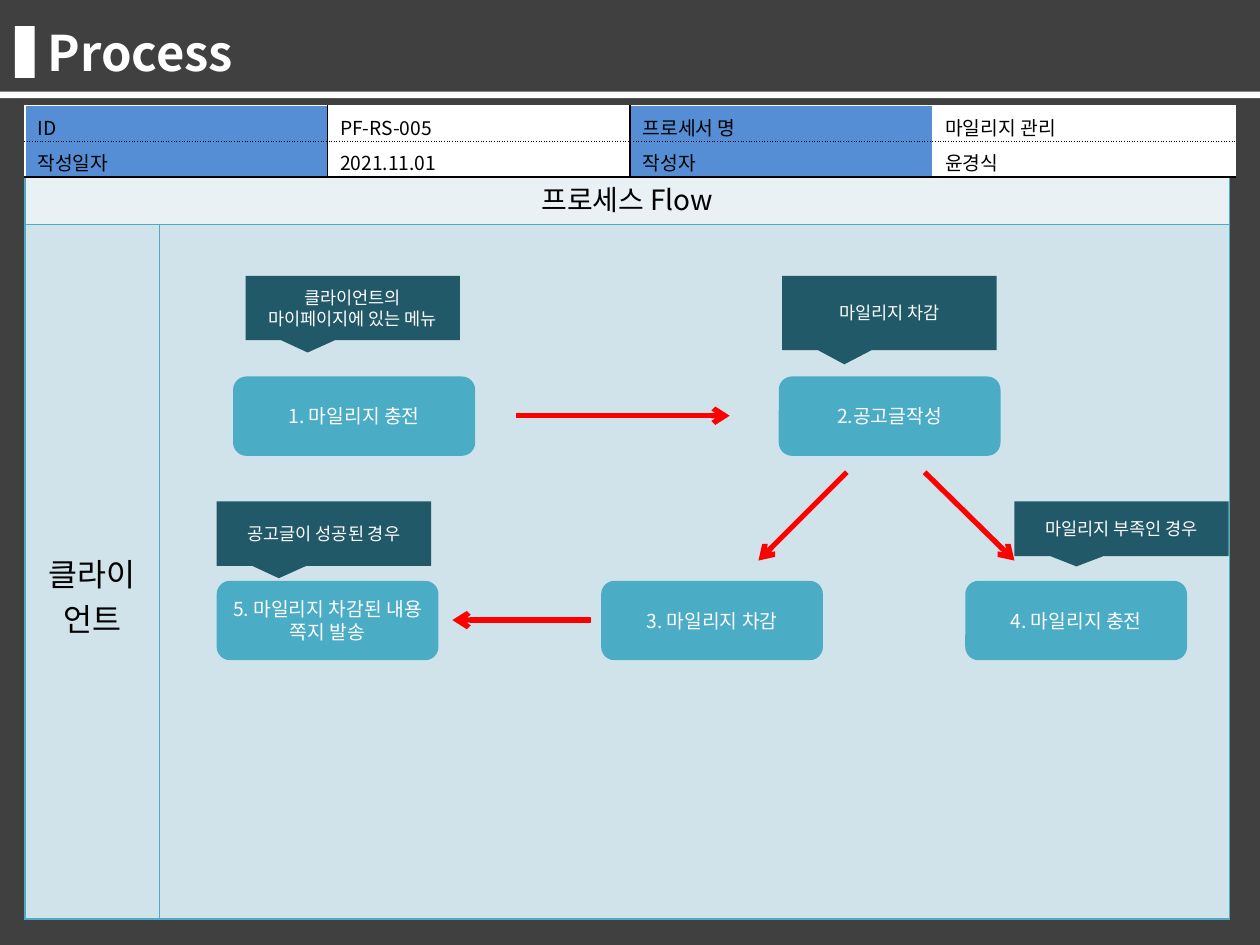
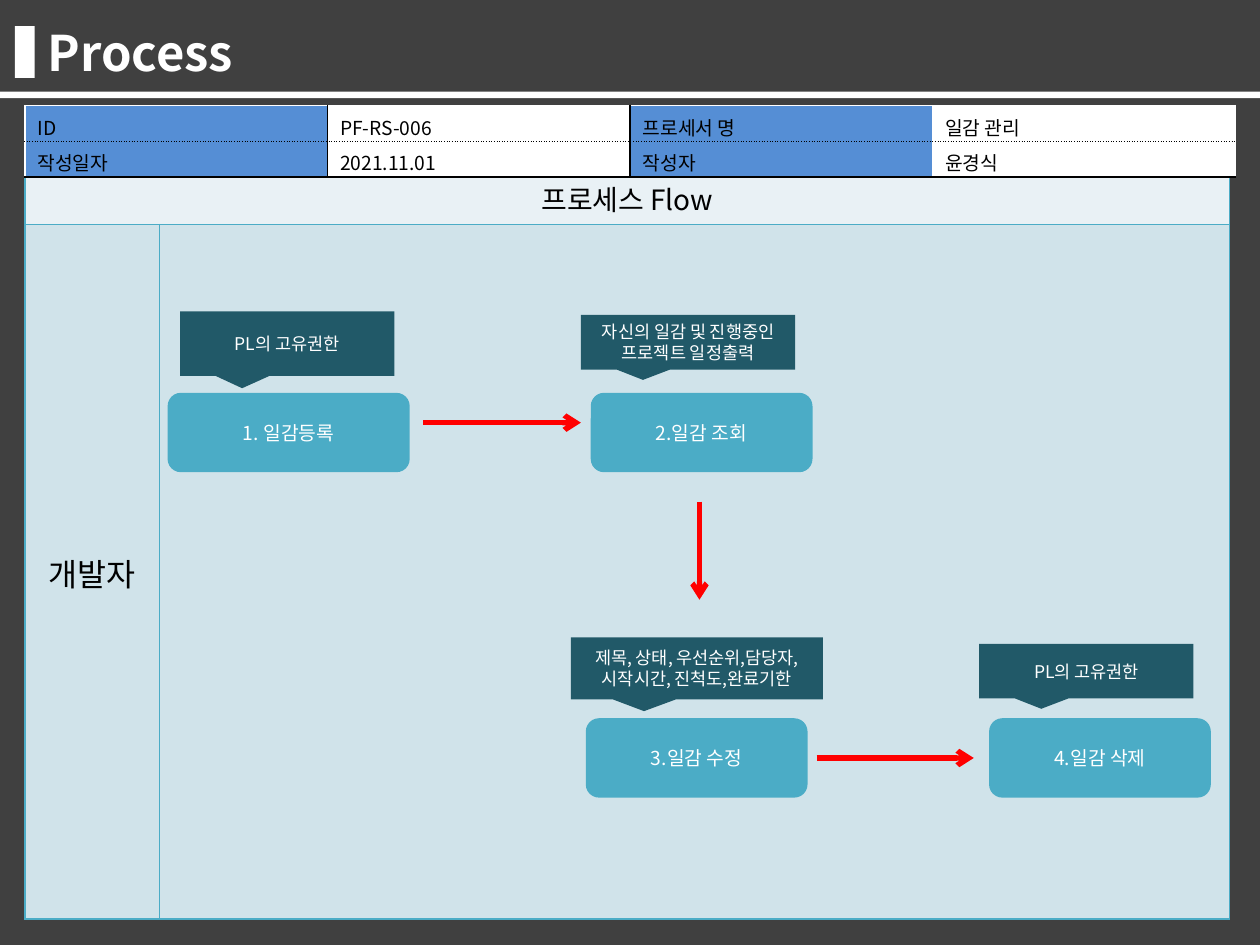
from lxml import etree
from pptx import Presentation
from pptx import util as u
from pptx.dml.color import RGBColor
from pptx.enum import shapes, text
from pptx.oxml import ns

FONT = "Noto Sans CJK KR"
COLORS = {
    "background": "404040", "white": "FFFFFF", "black": "000000",
    "label": "558ED5", "flow_header": "E9F1F5", "flow_body": "D0E3EA",
    "step": "4BACC6", "callout": "215968", "arrow": "FF0000",
}
STEP_WIDTH, STEP_HEIGHT = 4.47, 1.6
CALLOUT_WIDTH = 4.32
TITLE_ONLY_LAYOUT = 5

# Steps: text, left, top[, width]; callouts: text, left, top, height[, width]
# Arrows: start x, start y, end x, end y (all in centimetres)
PROCESSES = [
    {
        "id": "PF-RS-005", "name": "마일리지 관리", "actor": "클라이언트",
        "steps": [
            ("1. 마일리지 충전", 4.7, 7.59, 4.88),
            ("2.공고글작성", 15.7, 7.59),
            ("3. 마일리지 차감", 12.12, 11.71),
            ("4. 마일리지 충전", 19.46, 11.71),
            ("5. 마일리지 차감된 내용 쪽지 발송", 4.37, 11.71),
        ],
        "callouts": [
            ("클라이언트의\n마이페이지에 있는 메뉴", 4.95, 5.56, 1.3),
            ("마일리지 차감", 15.77, 5.56, 1.5),
            ("마일리지 부족인 경우", 20.45, 10.11, 1.1),
            ("공고글이 성공된 경우", 4.37, 10.11, 1.3),
        ],
        "arrows": [
            (10.41, 8.38, 14.71, 8.38),
            (18.64, 9.52, 20.45, 11.3),
            (17.07, 9.52, 15.29, 11.3),
            (11.91, 12.5, 9.12, 12.5),
        ],
    },
    {
        "id": "PF-RS-006", "name": "일감 관리", "actor": "개발자",
        "steps": [
            ("1. 일감등록", 3.38, 7.92, 4.88),
            ("2.일감 조회", 11.91, 7.92),
            ("3.일감 수정", 11.81, 14.48),
            ("4.일감 삭제", 19.94, 14.48),
        ],
        "callouts": [
            ("PL의 고유권한", 3.63, 6.28, 1.3),
            ("자신의 일감 및 진행중인 프로젝트 일정출력", 11.71, 6.35, 1.1),
            ("제목, 상태, 우선순위,담당자, 시작시간, 진척도,완료기한",
             11.51, 12.85, 1.25, 5.08),
            ("PL의 고유권한", 19.74, 12.98, 1.1),
        ],
        "arrows": [
            (8.53, 8.52, 11.71, 8.52),
            (14.1, 10.11, 14.1, 12.09),
            (16.46, 15.28, 19.63, 15.28),
        ],
    },
]


def color(name):
    return RGBColor.from_string(COLORS[name])


class ProcessDeck:
    """Holds the shared style and the current slide."""

    def __init__(self):
        self.presentation = Presentation()
        self.presentation.slide_width = u.Cm(25.4)
        self.presentation.slide_height = u.Cm(19.05)
        self.slide = None

    # Text and shapes
    def format_text(self, text_frame, size, color_name, alignment, bold=False):
        for paragraph in text_frame.paragraphs:
            paragraph.alignment = alignment
            for run in paragraph.runs:
                run.font.size = u.Pt(size)
                run.font.bold = bold
                run.font.name = FONT
                run.font.color.rgb = color(color_name)
                east_asian = etree.SubElement(run.font._element, ns.qn("a:ea"))
                east_asian.set("typeface", FONT)

    def add_shape(self, kind, left, top, width, height, fill):
        shape = self.slide.shapes.add_shape(
            kind, u.Cm(left), u.Cm(top), u.Cm(width), u.Cm(height))
        shape.shadow.inherit = False
        shape.fill.solid()
        shape.fill.fore_color.rgb = color(fill)
        shape.line.fill.background()
        return shape

    def add_label(self, shape, label, size):
        text_frame = shape.text_frame
        text_frame.text = label
        text_frame.word_wrap = True
        text_frame.vertical_anchor = text.MSO_ANCHOR.MIDDLE
        self.format_text(text_frame, size, "white", text.PP_ALIGN.CENTER)

    # Slide frame
    def add_slide(self, heading):
        layout = self.presentation.slide_layouts[TITLE_ONLY_LAYOUT]
        self.slide = self.presentation.slides.add_slide(layout)
        background = self.slide.background.fill
        background.solid()
        background.fore_color.rgb = color("background")

        title = self.slide.shapes.title
        title.left, title.top = u.Cm(0.71), u.Cm(0.33)
        title.width, title.height = u.Cm(22.8), u.Cm(1.45)
        title.text_frame.text = heading
        title.text_frame.auto_size = text.MSO_AUTO_SIZE.NONE
        title.text_frame.vertical_anchor = text.MSO_ANCHOR.MIDDLE
        self.format_text(title.text_frame, 28, "white", text.PP_ALIGN.LEFT, True)

        rectangle = shapes.MSO_SHAPE.RECTANGLE
        self.add_shape(rectangle, 0.3, 0.53, 0.4, 1.04, "white")
        self.add_shape(rectangle, 0, 1.85, 25.4, 0.13, "white")

    # Tables
    def add_table(self, left, top, widths, heights):
        table = self.slide.shapes.add_table(
            len(heights), len(widths), u.Cm(left), u.Cm(top),
            u.Cm(sum(widths)), u.Cm(sum(heights))).table
        table.first_row = table.horz_banding = False
        for column, width in zip(table.columns, widths):
            column.width = u.Cm(width)
        for row, height in zip(table.rows, heights):
            row.height = u.Cm(height)
        return table

    def style_cell(self, cell, fill, borders):
        """Borders are (color, dash) pairs: left, right, top, bottom."""
        properties = cell._tc.get_or_add_tcPr()
        for side, (line_color, dash) in zip("LRTB", borders):
            line = etree.SubElement(properties, ns.qn(f"a:ln{side}"), w=str(u.Pt(1)))
            solid = etree.SubElement(line, ns.qn("a:solidFill"))
            etree.SubElement(solid, ns.qn("a:srgbClr"), val=COLORS[line_color])
            etree.SubElement(line, ns.qn("a:prstDash"), val=dash)
        cell.fill.solid()
        cell.fill.fore_color.rgb = color(fill)

    def add_flow_table(self, actor):
        table = self.add_table(0.5, 3.46, [2.72, 21.57], [1.07, 14])
        for row, fill in enumerate(["flow_header", "flow_body"]):
            for column in range(2):
                self.style_cell(table.cell(row, column), fill, [("step", "solid")] * 4)
        header, actor_cell = table.cell(0, 0), table.cell(1, 0)
        header.merge(table.cell(0, 1))
        actor_cell.margin_top = u.Cm(6.55)
        for cell, label, size in [(header, "프로세스 Flow", 16), (actor_cell, actor, 18)]:
            cell.text_frame.text = label
            self.format_text(cell.text_frame, size, "black", text.PP_ALIGN.CENTER)

    def add_info_table(self, process):
        rows = [
            ["ID", process["id"], "프로세서 명", process["name"]],
            ["작성일자", "2021.11.01", "작성자", "윤경식"],
        ]
        verticals = [(name, "solid") for name in
                     ("white", "black", "black", "white", "white")]
        horizontals = [("white", "solid"), ("black", "sysDot"), ("black", "solid")]
        table = self.add_table(0.5, 2.13, [6.1] * 4, [0.72] * 2)
        for row, labels in enumerate(rows):
            for column, label in enumerate(labels):
                cell = table.cell(row, column)
                cell.margin_top, cell.margin_bottom = u.Cm(0.14), 0
                cell.text_frame.text = label
                self.format_text(cell.text_frame, 11, "black", text.PP_ALIGN.LEFT)
                self.style_cell(cell, "white" if column % 2 else "label",
                                verticals[column:column + 2] + horizontals[row:row + 2])

    # Flow elements
    def add_step(self, label, left, top, width=STEP_WIDTH):
        step = self.add_shape(shapes.MSO_SHAPE.ROUNDED_RECTANGLE,
                              left, top, width, STEP_HEIGHT, "step")
        self.add_label(step, label, 11)

    def add_callout(self, label, left, top, height, width=CALLOUT_WIDTH):
        callout = self.add_shape(shapes.MSO_SHAPE.RECTANGULAR_CALLOUT,
                                 left, top, width, height, "callout")
        callout.adjustments[0] = -0.21
        callout.adjustments[1] = 0.69
        self.add_label(callout, label, 10)

    def add_arrow(self, *ends):
        arrow = self.slide.shapes.add_connector(
            shapes.MSO_CONNECTOR.STRAIGHT, *[u.Cm(end) for end in ends])
        arrow.line.color.rgb = color("arrow")
        arrow.line.width = u.Pt(3)
        etree.SubElement(arrow.line._get_or_add_ln(), ns.qn("a:tailEnd"), type="arrow")
        etree.SubElement(arrow._element.spPr, ns.qn("a:effectLst"))


def main():
    deck = ProcessDeck()
    for process in PROCESSES:
        deck.add_slide("Process")
        deck.add_flow_table(process["actor"])
        deck.add_info_table(process)
        for step in process["steps"]:
            deck.add_step(*step)
        for callout in process["callouts"]:
            deck.add_callout(*callout)
        for arrow in process["arrows"]:
            deck.add_arrow(*arrow)
    deck.presentation.save("out.pptx")


if __name__ == "__main__":
    main()
